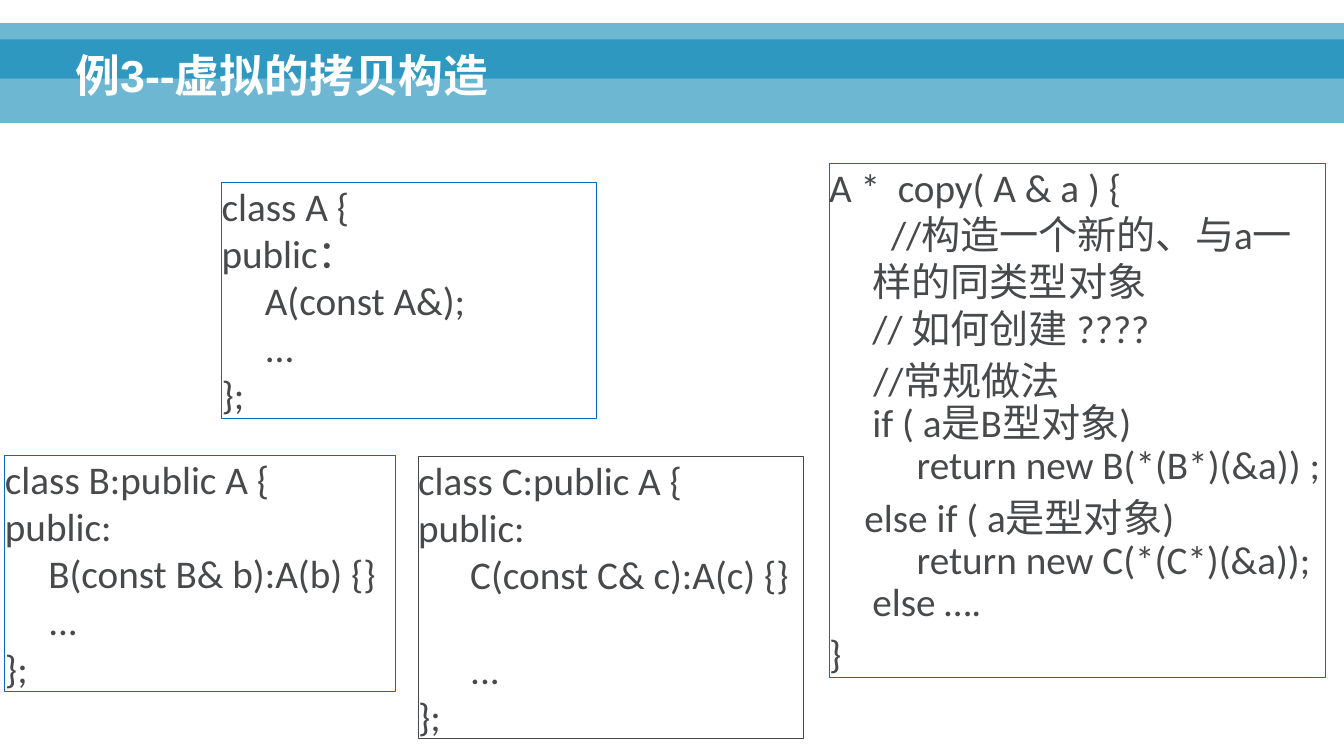
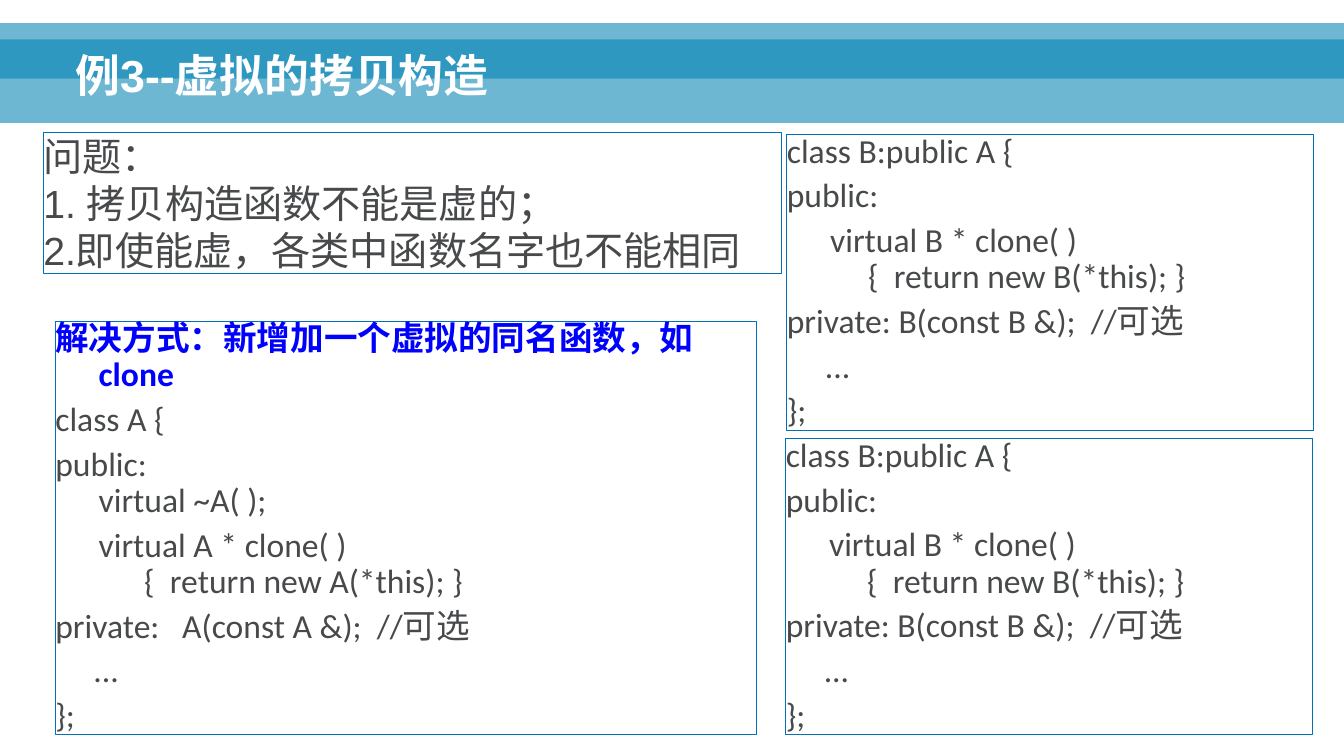
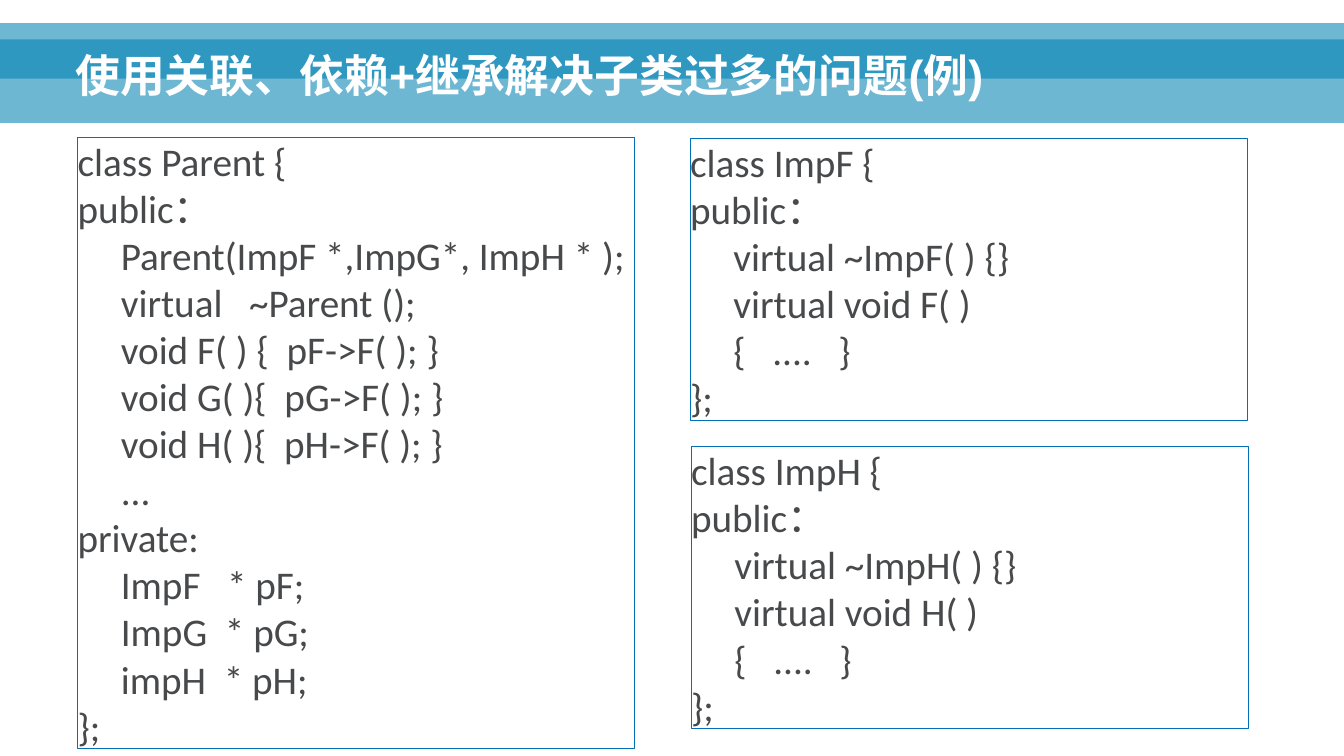
from pptx import Presentation
from pptx import util as u
from pptx.dml.color import RGBColor
from pptx.enum import shapes, text
from pptx.oxml import parse_xml
from pptx.oxml.ns import nsdecls

W, H = u.Inches(13.34), u.Inches(7.5)
COLORS = {"band": "0082B3", "title": "FFFFFF", "paper": "FFFFFF", "code": "47494B",
          "edge": "046FB6", "dark_edge": "454749", "accent": "0000FF"}
TITLE = {"name": "Arial", "size": u.Pt(32), "bold": True}
CODE = {"name": "Calibri", "size": u.Pt(28), "bold": False}
SMALL = {**CODE, "size": u.Pt(24)}
BODY = {**CODE, "name": "Arial"}
TIGHT = {"line_spacing": 0.9, "space_before": u.Pt(7)}
SNUG = {"line_spacing": 0.9, "space_before": u.Pt(6)}


def rgb(name):
    return RGBColor.from_string(COLORS[name])


def share(left, top, width, height):
    """Turn percentages of the slide's size into lengths."""
    return [int(v * full / 100) for v, full in zip((left, top, width, height), (W, H, W, H))]


def set_all(obj, values):
    for key, value in values.items():
        setattr(obj, key, value)


def rect(s, area, fill=None, edge=None):
    sp = s.shapes.add_shape(shapes.MSO_SHAPE.RECTANGLE, *share(*area))
    sp.shadow.inherit = False
    if fill:
        sp.fill.solid()
        sp.fill.fore_color.rgb = rgb(fill)
    else:
        sp.fill.background()
    if edge:
        sp.line.color.rgb = rgb(edge)
        sp.line.width = u.Pt(0.75)
    else:
        sp.line.fill.background()
    return sp


def band(s, top, height):
    sp = rect(s, (0, top, 100, height), "band")
    color = sp.fill._xPr.solidFill[0]
    color.append(parse_xml(f'<a:alpha {nsdecls("a")} val="57000"/>'))


def write(p, content, font, color):
    """Fill a paragraph; each newline becomes a line break."""
    p.text = content
    p.alignment = text.PP_ALIGN.LEFT
    for r in p.runs:
        set_all(r.font, font)
        r.font.color.rgb = rgb(color)


def titled_slide(prs, title):
    s = prs.slides.add_slide(prs.slide_layouts[6])
    band(s, 5.2, 11.07)
    band(s, 3.07, 7.33)
    tf = s.shapes.add_textbox(*share(4.87, 2.53, 89.81, 11.6)).text_frame
    set_all(tf, {"word_wrap": True, "vertical_anchor": text.MSO_ANCHOR.BOTTOM})
    write(tf.paragraphs[0], title, TITLE, "title")
    tf.paragraphs[0].line_spacing = 0.9
    return s


def code_box(s, area, paragraphs, font=CODE, spacing=None, fill=None, edge="edge", hang=0.43):
    """Framed text; a paragraph is a string or (string, spacing, font, color)."""
    tf = rect(s, area, fill, edge).text_frame
    set_all(tf, {"word_wrap": True, "vertical_anchor": text.MSO_ANCHOR.TOP})
    set_all(tf, dict.fromkeys(("margin_left", "margin_top", "margin_right", "margin_bottom"), 0))
    defaults = (None, spacing or {}, font, "code")
    for i, item in enumerate(paragraphs):
        item = (item,) if isinstance(item, str) else item
        content, gaps, face, color = item + defaults[len(item):]
        p = tf.add_paragraph() if i else tf.paragraphs[0]
        if hang:
            pPr = p._p.get_or_add_pPr()
            pPr.set("marL", str(u.Inches(hang)))
            pPr.set("indent", str(-u.Inches(hang)))
        write(p, content, face, color)
        set_all(p, gaps)
        if i == 0:
            p.space_before = u.Pt(0)


def copy_slide(prs):
    s = titled_slide(prs, "例3--虚拟的拷贝构造")
    code_box(s, (61.69, 21.6, 36.96, 68), [
        "A *  copy( A & a ) {",
        "       //构造一个新的、与a一样的同类型对象\n// 如何创建 ????",
        ("     //常规做法\nif ( a是B型对象)\n     return new B(*(B*)(&a)) ;", TIGHT),
        ("    else if ( a是型对象)\n     return new C(*(C*)(&a));\nelse ….", TIGHT),
        ("}", TIGHT)])
    code_box(s, (16.49, 24.13, 27.89, 31.2),
             ["class A {", "public：\nA(const A&);\n...", "};"], fill="paper")
    code_box(s, (0.37, 60.27, 29.09, 31.2),
             ["class B:public A {", "public:", "\tB(const B& b):A(b) {}\n...", "};"])
    code_box(s, (31.11, 60.4, 28.71, 37.33),
             ["class C:public A {", "public:\n C(const C& c):A(c) {}",
              ("\t ...", {"space_before": u.Pt(34)}), "};"], edge="dark_edge")


def clone_slide(prs):
    s = titled_slide(prs, "例3--虚拟的拷贝构造")
    code_box(s, (3.22, 17.47, 54.95, 18.67),
             ["问题：\n1. 拷贝构造函数不能是虚的；", "2.即使能虚，各类中函数名字也不能相同"],
             font=BODY, fill="paper", hang=0)
    code_box(s, (4.12, 42.53, 52.17, 54.67), [
        ("解决方式：新增加一个虚拟的同名函数，如clone", SNUG, {**SMALL, "bold": True}, "accent"),
        "class A {",
        "public:\nvirtual ~A( );",
        "\tvirtual A * clone( )\n      {  return new A(*this); }",
        "private:   A(const A &);  //可选",
        "     ...",
        "};"], SMALL, SNUG)
    for left, top in ((58.55, 17.73), (58.47, 58)):
        code_box(s, (left, top, 39.21, 39.2), [
            "class B:public A {",
            "public:",
            "\tvirtual B * clone( )\n     {  return new B(*this); }",
            "private: B(const B &);  //可选",
            "     ...",
            "};"], SMALL, SNUG)


def parent_slide(prs):
    s = titled_slide(prs, "使用关联、依赖+继承解决子类过多的问题(例)")
    code_box(s, (5.77, 18.13, 41.45, 80.93), [
        "class Parent {",
        "public：\nParent(ImpF *,ImpG*, ImpH * );\nvirtual   ~Parent ();\n"
        "void F( ) {  pF->F( ); }\nvoid G( ){  pG->F( ); }\nvoid H( ){  pH->F( ); }\n...",
        "private:\nImpF   * pF;\nImpG  * pG;",
        "\timpH  * pH;",
        "};"], fill="paper")
    for name, left, top in (("F", 51.35, 18.27), ("H", 51.42, 59.07)):
        code_box(s, (left, top, 41.45, 37.33), [
            f"class Imp{name} {{",
            f"public：\nvirtual ~Imp{name}( ) {{}}\nvirtual void {name}( )\n{{   ....   }}",
            "};"], fill="paper")


def main():
    prs = Presentation()
    prs.slide_width, prs.slide_height = W, H
    for build in (copy_slide, clone_slide, parent_slide):
        build(prs)
    prs.save("out.pptx")


if __name__ == "__main__":
    main()
